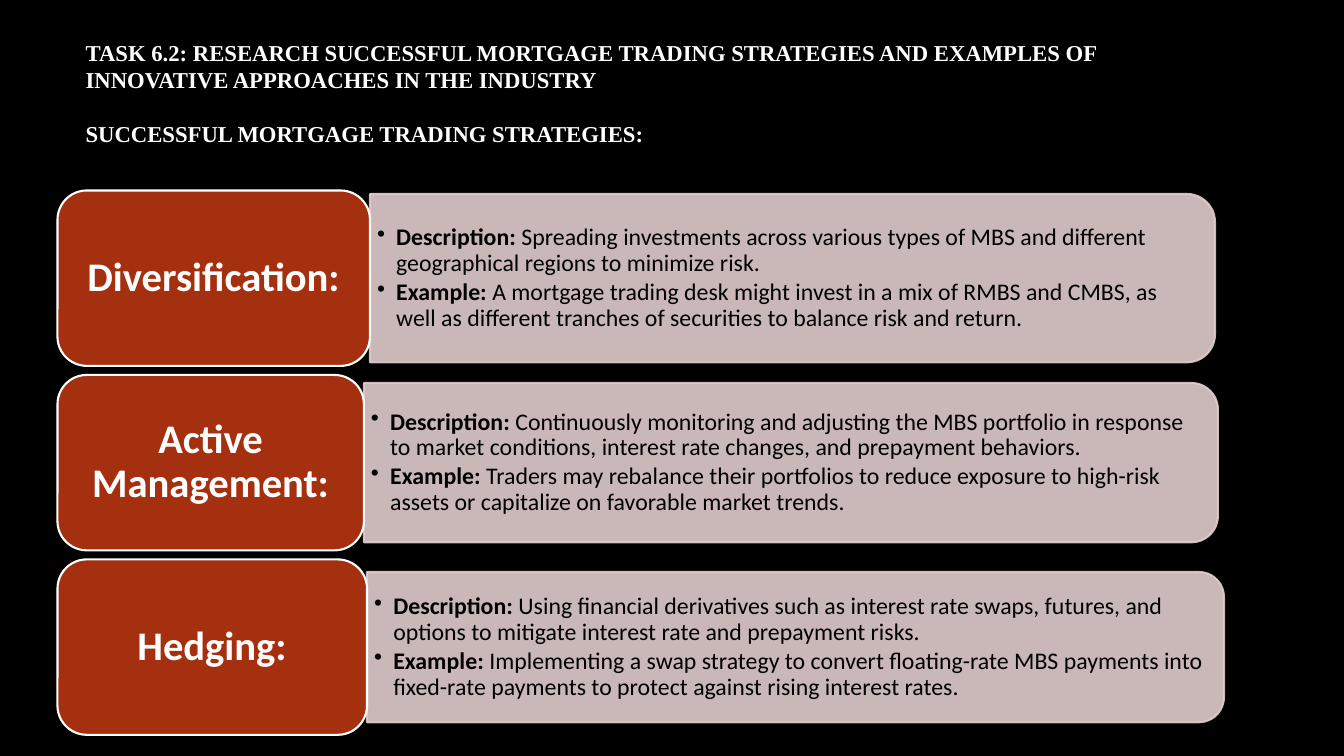
from dataclasses import dataclass
from math import cos, pi, sin

from lxml import etree
from pptx import Presentation
from pptx.dml.color import RGBColor
from pptx.enum.shapes import MSO_SHAPE
from pptx.enum.text import MSO_ANCHOR, PP_ALIGN
from pptx.oxml.ns import qn
from pptx.util import Emu, Inches, Pt

ROUNDED = MSO_SHAPE.ROUNDED_RECTANGLE
TOP, MIDDLE = MSO_ANCHOR.TOP, MSO_ANCHOR.MIDDLE
LEFT, CENTER = PP_ALIGN.LEFT, PP_ALIGN.CENTER

COLOURS = {
    "background": "000000",
    "label": "A5300F",
    "panel": "E1CDCC",
    "light": "FFFFFF",
    "dark": "000000",
}
SLIDE_WIDTH, SLIDE_HEIGHT = Inches(13.33), Inches(7.5)

# Places are percentages of the slide's width or height.
LABEL_LEFT = 4.28
FIRST_ROW, ROW_STEP, ROW_HEIGHT = 25.2, 24.4, 23.2
CORNER_SHARE = 1 / 6
PANEL_OPACITY = 90
BULLET_INDENT = Inches(0.19)


@dataclass(frozen=True)
class Strategy:
    name: str
    description: str
    example: str
    split: float
    right: float
    panel_height: float


STRATEGIES = (
    Strategy(
        "Diversification:",
        "Spreading investments across various types of MBS and different "
        "geographical regions to minimize risk.",
        "A mortgage trading desk might invest in a mix of RMBS and CMBS, as well as "
        "different tranches of securities to balance risk and return.",
        27.53, 90.4, 22.27,
    ),
    Strategy(
        "Active Management:",
        "Continuously monitoring and adjusting the MBS portfolio in response to market "
        "conditions, interest rate changes, and prepayment behaviors.",
        "Traders may rebalance their portfolios to reduce exposure to high-risk assets "
        "or capitalize on favorable market trends.",
        27.08, 90.62, 21.07,
    ),
    Strategy(
        "Hedging:",
        "Using financial derivatives such as interest rate swaps, futures, and options "
        "to mitigate interest rate and prepayment risks.",
        "Implementing a swap strategy to convert floating-rate MBS payments into "
        "fixed-rate payments to protect against rising interest rates.",
        27.31, 91.07, 19.87,
    ),
)
HEADING = (
    "TASK 6.2: RESEARCH SUCCESSFUL MORTGAGE TRADING STRATEGIES AND EXAMPLES OF "
    "INNOVATIVE APPROACHES IN THE INDUSTRY",
    "SUCCESSFUL MORTGAGE TRADING STRATEGIES:",
)


def across(percent: float) -> Emu:
    return Emu(round(SLIDE_WIDTH * percent / 100))


def down(percent: float) -> Emu:
    return Emu(round(SLIDE_HEIGHT * percent / 100))


def colour(name: str) -> RGBColor:
    return RGBColor.from_string(COLOURS[name])


def add_bullet(paragraph) -> None:
    properties = paragraph._p.get_or_add_pPr()
    properties.set("marL", str(BULLET_INDENT))
    properties.set("indent", str(-BULLET_INDENT))
    etree.SubElement(properties, qn("a:buChar")).set("char", "•")


def write(shape, paragraphs, *, size, ink, font="Calibri", align=LEFT, anchor=MIDDLE,
          insets=(0.1, 0, 0.1, 0), spacing=0.9, before=0, after=0, bullets=False) -> None:
    """Fill a shape with paragraphs, each given as a bold part and a plain part."""
    frame = shape.text_frame
    frame.word_wrap = True
    frame.vertical_anchor = anchor
    (frame.margin_left, frame.margin_top,
     frame.margin_right, frame.margin_bottom) = map(Inches, insets)
    for index, parts in enumerate(paragraphs):
        paragraph = frame.add_paragraph() if index else frame.paragraphs[0]
        if bullets:
            add_bullet(paragraph)
        paragraph.alignment = align
        paragraph.line_spacing = spacing
        paragraph.space_before = Pt(before if index else 0)
        paragraph.space_after = Pt(after)
        for words, bold in zip(parts, (True, False)):
            if words:
                run = paragraph.add_run()
                run.text = words
                run.font.name = font
                run.font.size = Pt(size)
                run.font.bold = bold
                run.font.color.rgb = colour(ink)


def paint(shape, fill: str, outline: str, opacity: int = 100) -> None:
    shape.shadow.inherit = False
    shape.fill.solid()
    shape.fill.fore_color.rgb = colour(fill)
    shape.line.color.rgb = colour(outline)
    shape.line.width = Pt(1.5)
    if opacity < 100:
        for tint in shape._element.spPr.iter(qn("a:srgbClr")):
            etree.SubElement(tint, qn("a:alpha")).set("val", str(opacity * 1000))


def right_rounded(slide, left: int, top: int, right: int, bottom: int):
    """Draw a rectangle whose two right corners are round."""
    radius = (bottom - top) * CORNER_SHARE
    steps = 12
    corners = []
    for centre_y, start in ((top + radius, -pi / 2), (bottom - radius, 0)):
        for step in range(steps + 1):
            angle = start + step * pi / 2 / steps
            corners.append((round(right - radius + radius * cos(angle)),
                            round(centre_y + radius * sin(angle))))
    builder = slide.shapes.build_freeform(left, top)
    builder.add_line_segments(corners + [(left, bottom)], close=True)
    return builder.convert_to_shape()


def add_heading(slide) -> None:
    heading = slide.shapes.add_textbox(across(5.63), down(5.2), across(83.12), down(15))
    write(heading, [(line, "") for line in HEADING], size=16.2, ink="light",
          font="Times New Roman", anchor=TOP, spacing=Pt(19.3), before=19.3)


def add_strategy(slide, strategy: Strategy, row: int) -> None:
    row_top = FIRST_ROW + row * ROW_STEP
    panel_top = row_top + (ROW_HEIGHT - strategy.panel_height) / 2
    panel = right_rounded(slide, across(strategy.split), down(panel_top),
                          across(strategy.right), down(panel_top + strategy.panel_height))
    paint(panel, "panel", "panel", PANEL_OPACITY)
    write(panel,
          [("Description:", f" {strategy.description}"), ("Example:", f" {strategy.example}")],
          size=17, ink="dark", insets=(0.07, 0.11, 0.15, 0.11), after=2.5, bullets=True)

    label = slide.shapes.add_shape(ROUNDED, across(LABEL_LEFT), down(row_top),
                                   across(strategy.split - LABEL_LEFT), down(ROW_HEIGHT))
    label.adjustments[0] = CORNER_SHARE
    paint(label, "label", "light")
    write(label, [(strategy.name, "")], size=29, ink="light", align=CENTER,
          insets=(0.12, 0.06, 0.12, 0.06))


def main() -> None:
    deck = Presentation()
    deck.slide_width, deck.slide_height = SLIDE_WIDTH, SLIDE_HEIGHT
    slide = deck.slides.add_slide(deck.slide_layouts[6])
    slide.background.fill.solid()
    slide.background.fill.fore_color.rgb = colour("background")
    add_heading(slide)
    for row, strategy in enumerate(STRATEGIES):
        add_strategy(slide, strategy, row)
    deck.save("out.pptx")


if __name__ == "__main__":
    main()
